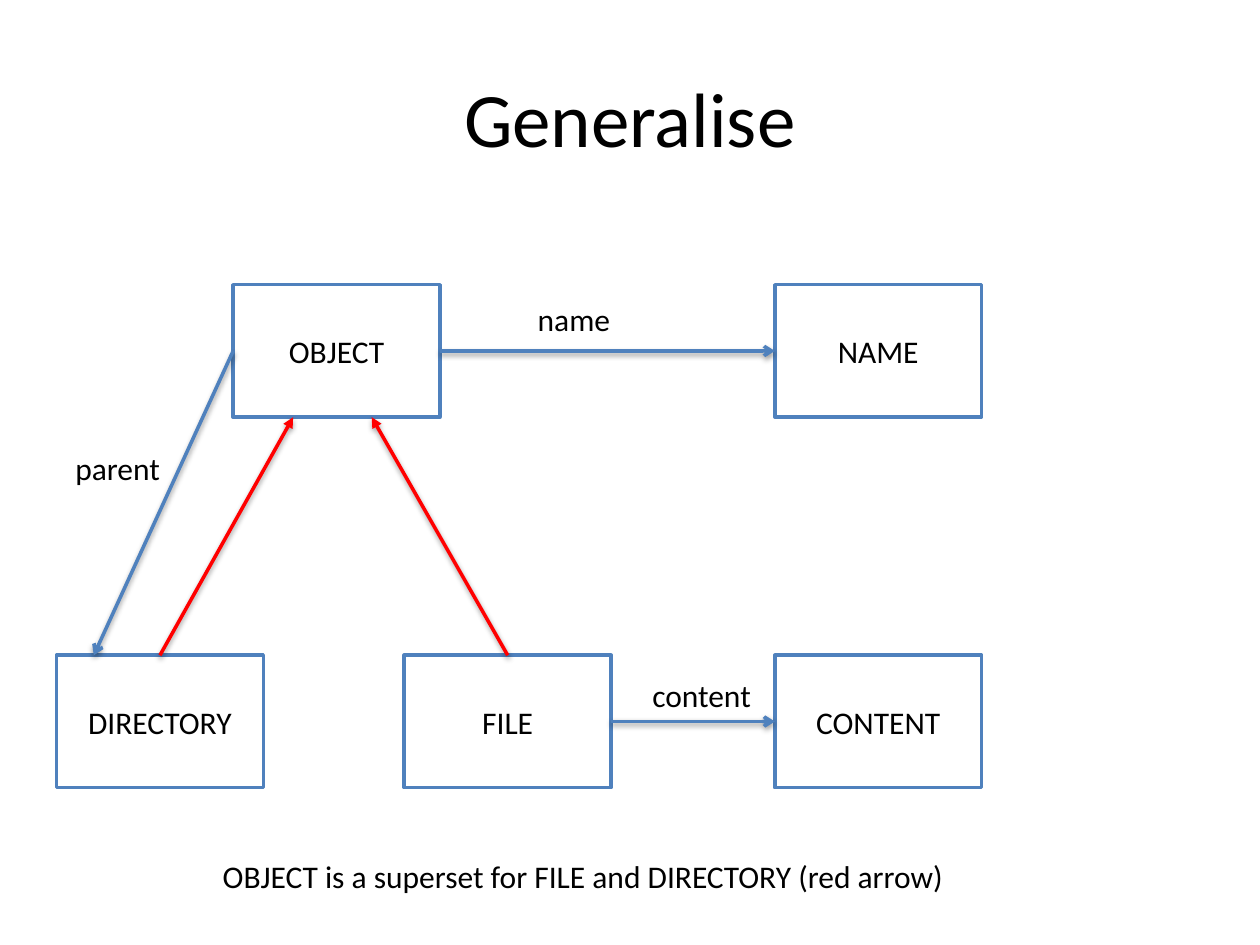
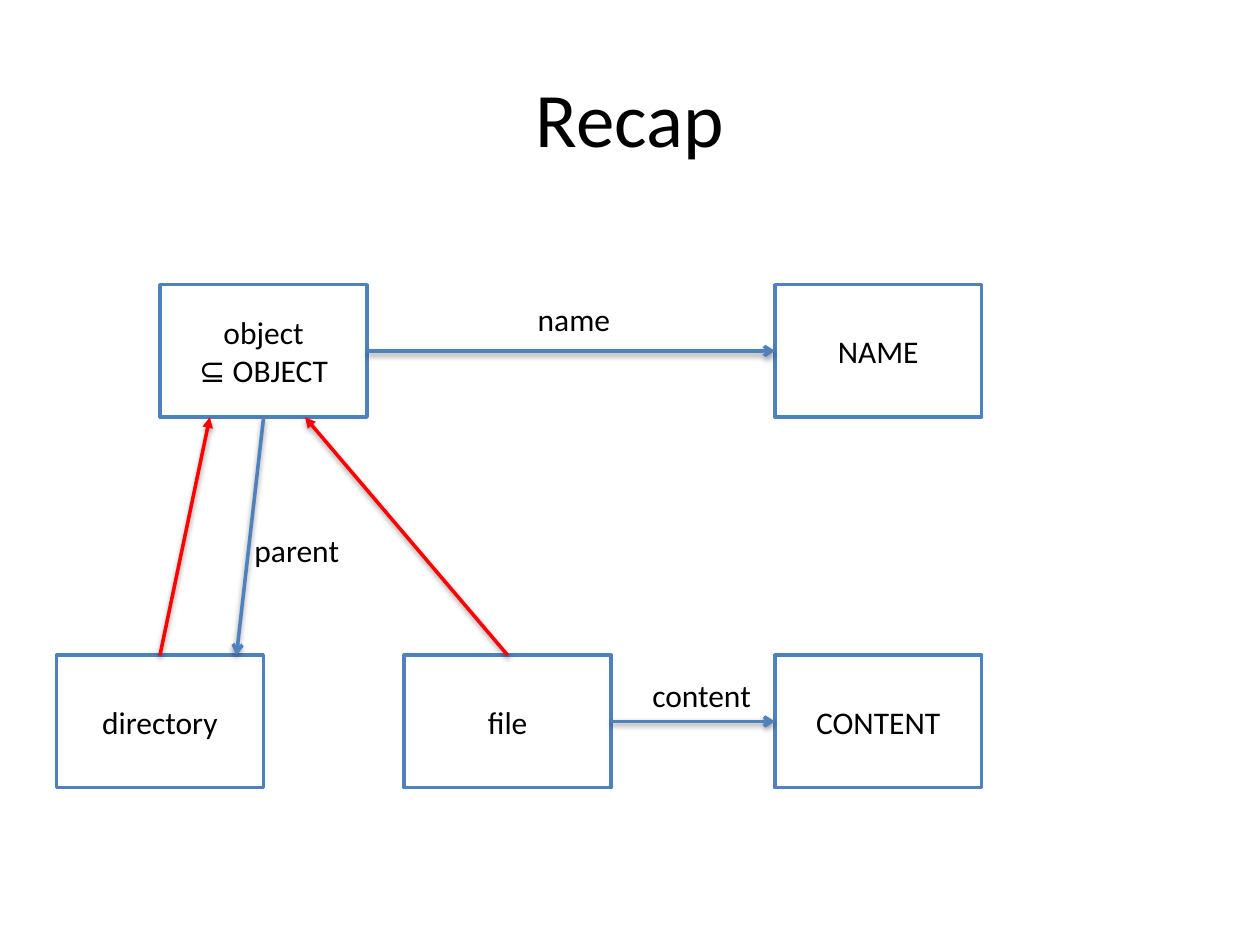
import dataclasses

import lxml.etree
import pptx
import pptx.dml.color
import pptx.enum.shapes
import pptx.enum.text
import pptx.oxml
import pptx.oxml.ns
import pptx.util

Cm = pptx.util.Cm
Pt = pptx.util.Pt
RGB = pptx.dml.color.RGBColor.from_string
ALIGN = pptx.enum.text.PP_ALIGN
ANCHOR = pptx.enum.text.MSO_ANCHOR
qn = pptx.oxml.ns.qn


@dataclasses.dataclass(frozen=True)
class Theme:
    font: str = "Calibri"
    title_size: int = 44
    body_size: int = 18
    line_width: int = 2
    text: str = "000000"
    paper: str = "FFFFFF"
    relation: str = "4F81BD"
    subset: str = "FF0000"


THEME = Theme()
SLIDE_SIZE = (25.4, 19.05)
TITLE_AREA = (1.27, 0.76, 22.86, 3.18)
BOX_SIZE = (4.17, 2.67)
LABEL_HEIGHT = 1.02
UPPER, LOWER = 5.74, 13.21

SHARED_BOXES = {
    "name": (["NAME"], 15.62, UPPER),
    "content": (["CONTENT"], 15.62, LOWER),
}
SHARED_RELATIONS = [
    ("object", (1, 0.5), "name", (0, 0.5)),
    ("file", (1, 0.5), "content", (0, 0.5)),
]
SHARED_LABELS = [
    ("name", 10.59, 5.92, 1.98),
    ("content", 12.9, 13.51, 2.9),
]

SLIDES = [
    {
        "title": "Generalise",
        "boxes": {
            "object": (["OBJECT"], 4.7, UPPER),
            "directory": (["DIRECTORY"], 1.14, LOWER),
            "file": (["FILE"], 8.15, LOWER),
        },
        "parent": ("object", (0, 0.5), "directory", (0.18, 0)),
        "subsets": {"directory": 0.29, "file": 0.67},
        "labels": [("parent", 1.27, 8.92, 2.51)],
        "caption": ("OBJECT is a superset for FILE and DIRECTORY (red arrow)", 4.24, 17.15, 15.14),
    },
    {
        "title": "Recap",
        "boxes": {
            "object": (["object", "⊆ OBJECT"], 3.23, UPPER),
            "directory": (["directory"], 1.14, LOWER),
            "file": (["file"], 8.15, LOWER),
        },
        "parent": ("object", (0.5, 1), "directory", (0.87, 0)),
        "subsets": {"directory": 0.24, "file": 0.7},
        "labels": [("parent", 4.88, 10.59, 2.24)],
        "caption": None,
    },
]

SHADOW = (
    '<a:effectLst xmlns:a="http://schemas.openxmlformats.org/drawingml/2006/main">'
    '<a:outerShdw blurRad="40000" dist="20000" dir="5400000" rotWithShape="0">'
    '<a:srgbClr val="000000"><a:alpha val="38000"/></a:srgbClr>'
    "</a:outerShdw></a:effectLst>"
)


def write(shape, lines, size, align=ALIGN.LEFT, anchor=ANCHOR.TOP, wrap=True):
    tf = shape.text_frame
    tf.word_wrap = wrap
    tf.vertical_anchor = anchor
    tf.text = "\n".join(lines)
    for p in tf.paragraphs:
        p.alignment = align
        p.font.name = THEME.font
        p.font.size = Pt(size)
        p.font.color.rgb = RGB(THEME.text)


def add_text(s, text, area, size, **style):
    write(s.shapes.add_textbox(*map(Cm, area)), [text], size, **style)


def add_box(s, lines, left, top):
    sp = s.shapes.add_shape(
        pptx.enum.shapes.MSO_SHAPE.RECTANGLE, *map(Cm, (left, top, *BOX_SIZE)))
    sp.shadow.inherit = False
    sp.fill.solid()
    sp.fill.fore_color.rgb = RGB(THEME.paper)
    sp.line.color.rgb = RGB(THEME.relation)
    sp.line.width = Pt(THEME.line_width)
    write(sp, lines, THEME.body_size, ALIGN.CENTER, ANCHOR.MIDDLE)


def point(box, fraction):
    corner = box[1:]
    return [Cm(c + f * size) for c, f, size in zip(corner, fraction, BOX_SIZE)]


def add_arrow(s, start, end, color, end_tag, arrowhead):
    line = s.shapes.add_connector(
        pptx.enum.shapes.MSO_CONNECTOR.STRAIGHT, *start, *end)
    line.line.color.rgb = RGB(color)
    line.line.width = Pt(THEME.line_width)
    ln = line.line._get_or_add_ln()
    lxml.etree.SubElement(ln, qn(end_tag), type=arrowhead)
    line._element.spPr.append(pptx.oxml.parse_xml(SHADOW))


def build_slide(prs, content):
    s = prs.slides.add_slide(prs.slide_layouts[6])
    add_text(s, content["title"], TITLE_AREA, THEME.title_size,
             align=ALIGN.CENTER, anchor=ANCHOR.MIDDLE)

    boxes = {**content["boxes"], **SHARED_BOXES}
    for box in boxes.values():
        add_box(s, *box)

    for source, leave, target, arrive in SHARED_RELATIONS + [content["parent"]]:
        add_arrow(s, point(boxes[source], leave), point(boxes[target], arrive),
                  THEME.relation, "a:tailEnd", "arrow")
    for subset, across in content["subsets"].items():
        add_arrow(s, point(boxes["object"], (across, 1)), point(boxes[subset], (0.5, 0)),
                  THEME.subset, "a:headEnd", "triangle")

    for text, left, top, width in SHARED_LABELS + content["labels"]:
        add_text(s, text, (left, top, width, LABEL_HEIGHT), THEME.body_size)
    if content["caption"]:
        text, left, top, width = content["caption"]
        add_text(s, text, (left, top, width, LABEL_HEIGHT), THEME.body_size, wrap=False)


prs = pptx.Presentation()
prs.slide_width, prs.slide_height = map(Cm, SLIDE_SIZE)
for content in SLIDES:
    build_slide(prs, content)
prs.save("out.pptx")
